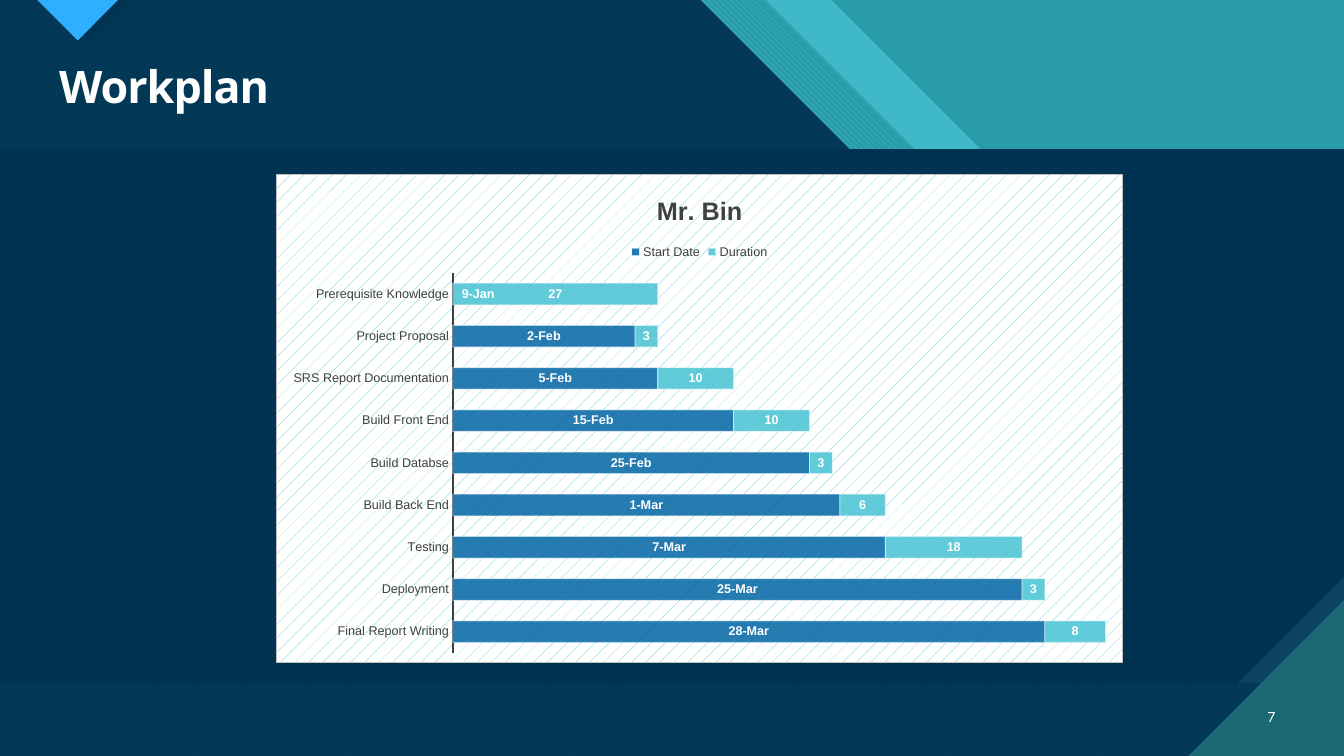
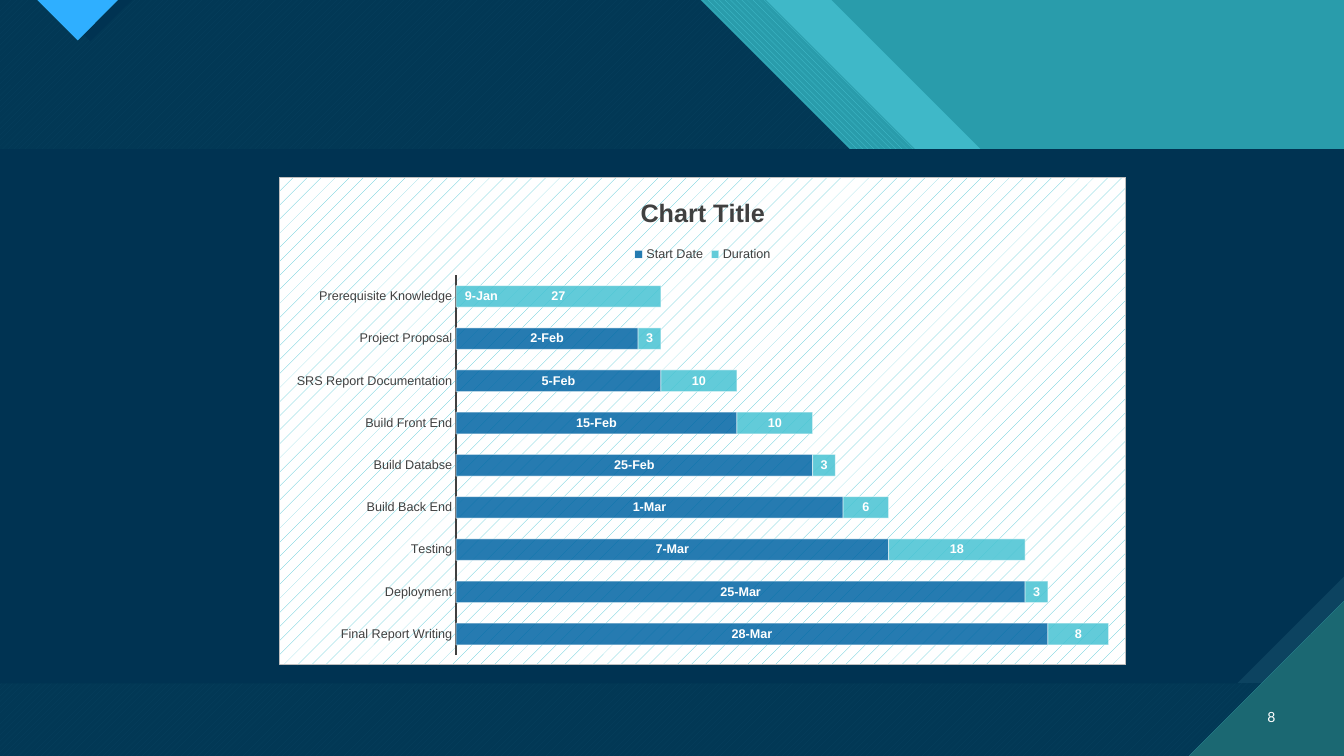
"""Build two workplan slides, each with a Gantt-style stacked bar chart."""
import dataclasses

import pptx
import pptx.chart.data
import pptx.dml.color
import pptx.enum.chart
import pptx.enum.dml
import pptx.enum.shapes
import pptx.enum.text
import pptx.oxml
import pptx.oxml.ns
import pptx.util

Cm = pptx.util.Cm
Pt = pptx.util.Pt
RGB = pptx.dml.color.RGBColor.from_string
SHAPE = pptx.enum.shapes.MSO_SHAPE
PATTERN = pptx.enum.dml.MSO_PATTERN
ALIGN = pptx.enum.text.PP_ALIGN


@dataclasses.dataclass(frozen=True)
class Theme:
    navy: str = "003352"
    slate: str = "0C4360"
    pine: str = "1B6872"
    teal: str = "299CAB"
    aqua: str = "47C3D3"
    sky: str = "2FAFFF"
    blue: str = "0065A4"
    white: str = "FFFFFF"
    ink: str = "404040"
    title_font: str = "Noto Sans"
    number_font: str = "Lato"
    chart_font: str = "Arial"
    title_size: int = 32
    number_size: int = 10
    chart_title_size: int = 18
    label_size: int = 9


theme = Theme()
WIDTH, HEIGHT = 33.87, 19.05
BAND_DEPTH = 7.55
BODY_TOP, BODY_HEIGHT = 3.76, 13.46
CORNER = 3.91
DATE_FORMAT = r"d\-mmm"


def paint(shape, color, pattern=None, back=None, opacity=100):
    """Fill a shape with a solid or patterned colour, without line or shadow."""
    shape.shadow.inherit = False
    shape.line.fill.background()
    if pattern:
        shape.fill.patterned()
        shape.fill.pattern = pattern
        shape.fill.back_color.rgb = RGB(back)
    else:
        shape.fill.solid()
    shape.fill.fore_color.rgb = RGB(color)
    if opacity < 100:
        tint = shape.element.xpath("./p:spPr/a:solidFill/a:srgbClr")[0]
        pptx.oxml.ns.qn("a:alpha")
        tint.append(pptx.oxml.parse_xml(
            f'<a:alpha {pptx.oxml.ns.nsdecls("a")} val="{opacity * 1000}"/>'))


def style(font, name, size, color, bold=False):
    """Set the face, size, colour and weight of a font."""
    font.name, font.size, font.bold = name, Pt(size), bold
    font.color.rgb = RGB(color)


bands = []
for left, bend, flat, look in [
    (0, 20.95, 2.84, dict(color=theme.aqua, opacity=74)),
    (1.68, 19.3, 3.2, dict(color=theme.aqua, back=theme.teal,
                           pattern=PATTERN.WIDE_DOWNWARD_DIAGONAL)),
    (0, 17.65, 3.2, dict(color=theme.aqua, back=theme.pine,
                         pattern=PATTERN.WIDE_UPWARD_DIAGONAL)),
    (0, 17.65, 3.2, dict(color=theme.navy, opacity=90)),
]:
    ledge = bend + BAND_DEPTH + flat
    outline = [(left, 0), (bend, 0), (bend + BAND_DEPTH, BAND_DEPTH),
               (ledge, BAND_DEPTH), (WIDTH, BAND_DEPTH + WIDTH - ledge),
               (WIDTH, HEIGHT), (left, HEIGHT)]
    bands.append((outline, look))

pointers = [
    ([(1.22, 0), (2.28, 1.04), (3.33, 0)], dict(color=theme.navy)),
    ([(0.94, 0), (1.96, 1.02), (2.97, 0)],
     dict(color=theme.sky, pattern=PATTERN.DARK_HORIZONTAL, back=theme.pine)),
]
body_panels = [
    (0, dict(color=theme.slate, pattern=PATTERN.DARK_VERTICAL, back=theme.pine)),
    (0.2, dict(color=theme.navy)),
]
corner = [(WIDTH - CORNER, HEIGHT), (WIDTH, HEIGHT), (WIDTH, HEIGHT - CORNER)]

tasks = [
    ("Prerequisite Knowledge", 44570, 27),
    ("Project Proposal", 44594, 3),
    ("SRS Report Documentation", 44597, 10),
    ("Build Front End", 44607, 10),
    ("Build Databse", 44617, 3),
    ("Build Back End", 44621, 6),
    ("Testing", 44627, 18),
    ("Deployment", 44645, 3),
    ("Final Report Writing", 44648, 8),
]
names, starts, durations = zip(*tasks)
plan = pptx.chart.data.CategoryChartData()
plan.categories = names
plan.add_series("Start Date", starts, DATE_FORMAT)
plan.add_series("Duration", durations, "General")

slides = [
    dict(number=7, title="Workplan", chart_title="Mr. Bin", at=(6.96, 4.39)),
    dict(number=8, title=None, chart_title="Chart Title", at=(7.04, 4.45)),
]

deck = pptx.Presentation()
deck.slide_width, deck.slide_height = Cm(WIDTH), Cm(HEIGHT)

for content in slides:
    page = deck.slides.add_slide(deck.slide_layouts[6])
    page.background.fill.solid()
    page.background.fill.fore_color.rgb = RGB(theme.aqua)
    backdrop = page.shapes.add_shape(SHAPE.RECTANGLE, 0, 0, Cm(WIDTH), Cm(HEIGHT))
    paint(backdrop, theme.teal)

    for outline, look in bands + pointers:
        points = [(Cm(x), Cm(y)) for x, y in outline]
        builder = page.shapes.build_freeform(*points[0])
        builder.add_line_segments(points[1:])
        paint(builder.convert_to_shape(), **look)

    for snip, look in body_panels:
        panel = page.shapes.add_shape(SHAPE.SNIP_1_RECTANGLE, 0, Cm(BODY_TOP),
                                      Cm(WIDTH), Cm(BODY_HEIGHT))
        panel.adjustments[0] = snip
        panel.element.spPr.xfrm.set("flipV", "1")
        paint(panel, **look)

    points = [(Cm(x), Cm(y)) for x, y in corner]
    builder = page.shapes.build_freeform(*points[0])
    builder.add_line_segments(points[1:])
    paint(builder.convert_to_shape(), theme.pine, PATTERN.DARK_HORIZONTAL, theme.aqua)

    labels = [(str(content["number"]), (31.27, 17.55, 1.12, 1.02), ALIGN.RIGHT,
               theme.number_font, theme.number_size, False)]
    if content["title"]:
        labels.insert(0, (content["title"], (1.24, 1.5, 31.14, 1.5), ALIGN.LEFT,
                          theme.title_font, theme.title_size, True))
    for text, place, align, face, size, is_title in labels:
        box = page.shapes.add_textbox(*map(Cm, place))
        box.text_frame.word_wrap = True
        box.text_frame.vertical_anchor = pptx.enum.text.MSO_ANCHOR.MIDDLE
        para = box.text_frame.paragraphs[0]
        para.text, para.alignment = text, align
        style(para.font, face, size, theme.white, is_title)
        if is_title:
            para.line_spacing = 0.9
            box.element.xpath(".//a:defRPr")[0].set("spc", "-70")

    left, top = content["at"]
    chart = page.shapes.add_chart(pptx.enum.chart.XL_CHART_TYPE.BAR_STACKED, Cm(left),
                                  Cm(top), Cm(21.34), Cm(12.32), plan).chart
    style(chart.font, theme.chart_font, theme.label_size, theme.ink)
    chart.has_title = True
    heading = chart.chart_title.text_frame.paragraphs[0]
    heading.text = content["chart_title"]
    style(heading.font, theme.chart_font, theme.chart_title_size, theme.ink, True)
    chart.chart_title.include_in_layout = False
    chart.has_legend = True
    chart.legend.position = pptx.enum.chart.XL_LEGEND_POSITION.TOP
    chart.legend.include_in_layout = False
    style(chart.legend.font, theme.chart_font, theme.label_size, theme.ink)

    task_axis, date_axis = chart.category_axis, chart.value_axis
    task_axis.reverse_order = True
    task_axis.major_tick_mark = pptx.enum.chart.XL_TICK_MARK.NONE
    task_axis.format.line.color.rgb = RGB(theme.ink)
    task_axis.format.line.width = Pt(1.5)
    style(task_axis.tick_labels.font, theme.chart_font, theme.label_size, theme.ink)
    date_axis.visible = False
    date_axis.has_major_gridlines = False
    date_axis.minimum_scale = starts[0]
    date_axis.maximum_scale = starts[-1] + durations[-1]
    date_axis.tick_labels.number_format = DATE_FORMAT
    date_axis.tick_labels.number_format_is_linked = False

    plot = chart.plots[0]
    plot.gap_width, plot.overlap, plot.vary_by_categories = 95, 100, False
    for series, color, number_format in zip(
            plot.series, (theme.blue, theme.aqua), (DATE_FORMAT, "General")):
        series.format.fill.solid()
        series.format.fill.fore_color.rgb = RGB(color)
        series.format.line.color.rgb = RGB(theme.white)
        series.format.line.width = Pt(0.75)
        values = series.data_labels
        values.show_value = True
        values.number_format = number_format
        values.number_format_is_linked = False
        style(values.font, theme.chart_font, theme.label_size, theme.white, True)

    first_label = plot.series[0].points[0].data_label
    style(first_label.font, theme.chart_font, theme.label_size, theme.white, True)
    chart_names = pptx.oxml.ns.nsdecls("c", "a")
    label_index = chart.element.xpath(".//c:dLbl/c:idx")[0]
    label_index.addnext(pptx.oxml.parse_xml(
        f'<c:numFmt {chart_names} formatCode="{DATE_FORMAT}" sourceLinked="0"/>'))
    label_index.addnext(pptx.oxml.parse_xml(
        f'<c:layout {chart_names}><c:manualLayout><c:x val="0.03"/><c:y val="0"/>'
        '</c:manualLayout></c:layout>'))

    for place, opacity in [("a:solidFill", 85), ("a:ln/a:solidFill", 50)]:
        for tint in chart.element.xpath(f".//c:ser/c:spPr/{place}/a:srgbClr"):
            tint.append(pptx.oxml.parse_xml(
                f'<a:alpha {chart_names} val="{opacity * 1000}"/>'))
    chart.element.xpath("./c:chart")[0].addnext(pptx.oxml.parse_xml(
        f'<c:spPr {chart_names}><a:pattFill prst="pct5">'
        f'<a:fgClr><a:srgbClr val="{theme.aqua}"/></a:fgClr>'
        f'<a:bgClr><a:srgbClr val="{theme.white}"/></a:bgClr></a:pattFill>'
        '<a:ln w="9525"><a:solidFill><a:srgbClr val="BFBFBF"/></a:solidFill></a:ln>'
        '</c:spPr>'))

deck.save("out.pptx")
